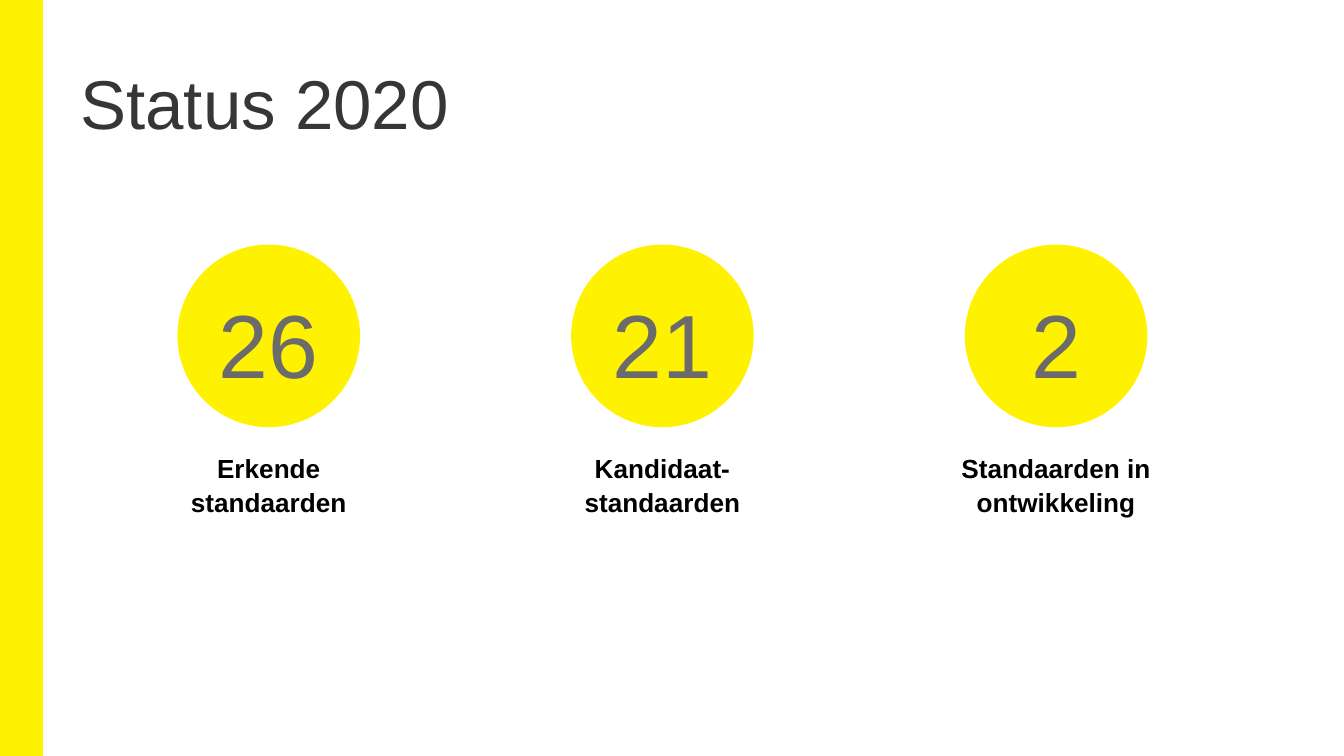
from pptx import Presentation
from pptx import util as u
from pptx.dml.color import RGBColor
from pptx.enum import shapes, text

YELLOW = RGBColor(0xFF, 0xF2, 0x00)
GREY = RGBColor(0x6B, 0x6B, 0x6B)
DARK = RGBColor(0x37, 0x36, 0x36)
BLACK = RGBColor(0, 0, 0)

SLIDE_HEIGHT = u.Cm(14.28)
CIRCLE_SIZE = u.Cm(3.45)
LABEL_WIDTH = u.Cm(4.11)
FIRST_CENTRE = u.Cm(5.08)
STEP = u.Cm(7.44)

STATUSES = [
    ("26", "Erkende standaarden"),
    ("21", "Kandidaat- standaarden"),
    ("2", "Standaarden in ontwikkeling"),
]


def write(frame, content, *, size, color, bold=False, spacing=1.0,
          align=text.PP_ALIGN.CENTER, anchor=text.MSO_ANCHOR.MIDDLE,
          auto_size=text.MSO_AUTO_SIZE.NONE):
    frame.word_wrap = True
    frame.auto_size = auto_size
    frame.vertical_anchor = anchor
    paragraph = frame.paragraphs[0]
    paragraph.alignment = align
    paragraph.line_spacing = spacing
    run = paragraph.add_run()
    run.text = content
    run.font.name = "Arial"
    run.font.size = u.Pt(size)
    run.font.bold = bold
    run.font.color.rgb = color


def add_filled(slide, kind, left, top, width, height):
    filled = slide.shapes.add_shape(kind, left, top, width, height)
    filled.shadow.inherit = False
    filled.fill.solid()
    filled.fill.fore_color.rgb = YELLOW
    filled.line.fill.background()
    return filled


def add_side_bar(slide):
    bar = add_filled(slide, shapes.MSO_SHAPE.RECTANGLE,
                     0, 0, u.Cm(0.79), SLIDE_HEIGHT)
    bar.line.color.rgb = YELLOW
    bar.line.width = u.Pt(1)


def add_title(slide, content):
    title = slide.shapes.title
    title.left, title.top = u.Cm(1.27), u.Cm(0.74)
    title.width, title.height = u.Cm(20.6), u.Cm(2.34)
    frame = title.text_frame
    frame.margin_left = frame.margin_right = u.Cm(0.25)
    frame.margin_top = frame.margin_bottom = u.Cm(0.25)
    write(frame, content, size=37, color=DARK, spacing=1.03,
          align=text.PP_ALIGN.LEFT)


def add_number(slide, centre, number):
    circle = add_filled(slide, shapes.MSO_SHAPE.OVAL,
                        centre - CIRCLE_SIZE // 2, u.Cm(4.62),
                        CIRCLE_SIZE, CIRCLE_SIZE)
    circle.text_frame.margin_top = u.Cm(0.25)
    circle.text_frame.margin_bottom = 0
    write(circle.text_frame, number, size=48, color=GREY)


def add_label(slide, centre, content):
    label = slide.shapes.add_textbox(centre - LABEL_WIDTH // 2, u.Cm(8.38),
                                     LABEL_WIDTH, u.Cm(1.45))
    write(label.text_frame, content, size=14, color=BLACK, bold=True,
          spacing=1.07, anchor=text.MSO_ANCHOR.TOP,
          auto_size=text.MSO_AUTO_SIZE.SHAPE_TO_FIT_TEXT)


def main():
    deck = Presentation()
    deck.slide_width = u.Cm(25.4)
    deck.slide_height = SLIDE_HEIGHT
    slide = deck.slides.add_slide(deck.slide_layouts[5])
    add_side_bar(slide)
    add_title(slide, "Status 2020")
    for column, (number, label) in enumerate(STATUSES):
        centre = FIRST_CENTRE + column * STEP
        add_number(slide, centre, number)
        add_label(slide, centre, label)
    deck.save("out.pptx")


if __name__ == "__main__":
    main()
